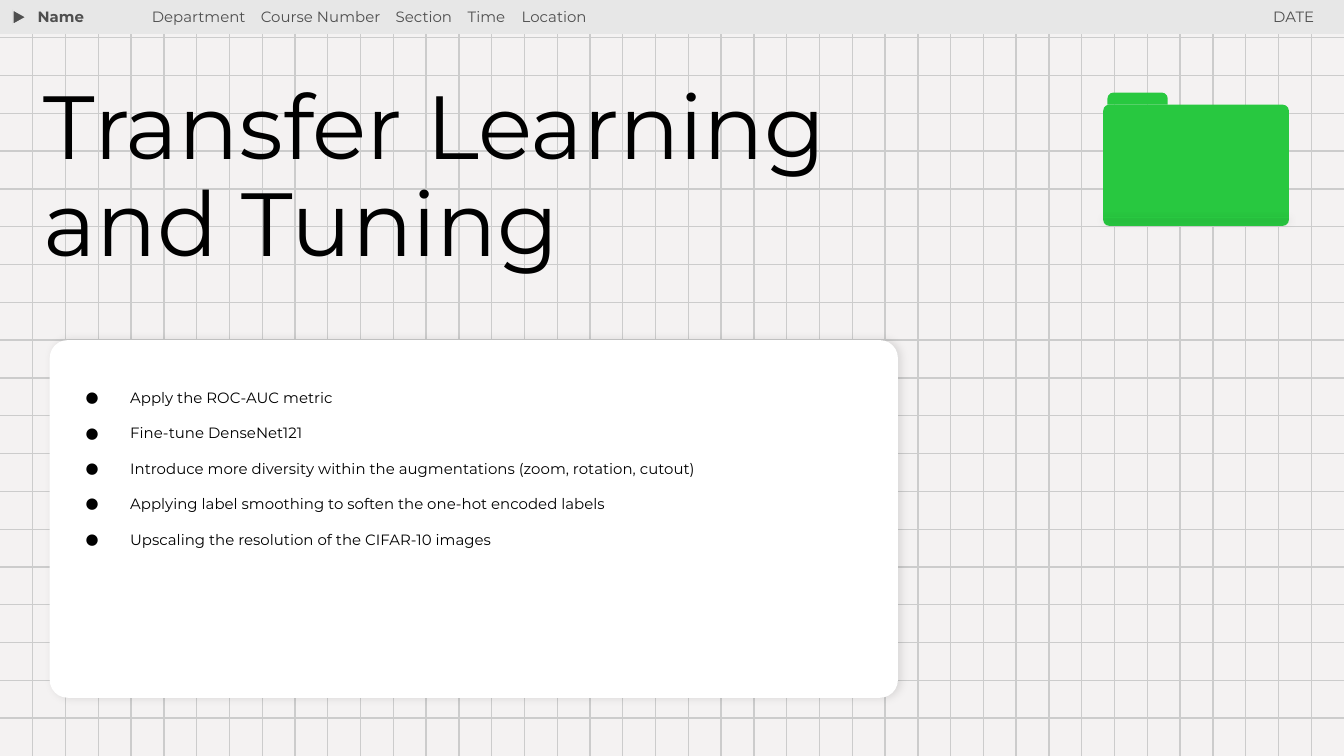
from dataclasses import dataclass

from lxml import etree
from pptx import Presentation, util as u
from pptx.dml.color import RGBColor
from pptx.enum import shapes, text
from pptx.oxml import ns

SHAPE = shapes.MSO_SHAPE
ALIGN = text.PP_ALIGN


@dataclass(frozen=True)
class Theme:
    font: str = "Montserrat"
    background: str = "F4F2F2"
    grid: str = "CCCCCC"
    bar: str = "E7E7E7"
    header: str = "4F4F4F"
    ink: str = "000000"
    card: str = "FFFFFF"
    folder: str = "28C840"
    title_size: float = 48
    small_size: float = 8
    line_width: float = 0.75


def rgb(color):
    return RGBColor.from_string(color)


def add_xml(parent, tag, **attributes):
    return etree.SubElement(parent, ns.qn(tag), attributes)


def set_shadow(properties, alpha, direction):
    """Replace the inherited effects by a soft shadow, or by none if alpha is 0."""
    effects = properties.find(ns.qn("a:effectLst"))
    if effects is None:
        effects = add_xml(properties, "a:effectLst")
    if alpha:
        shadow = add_xml(effects, "a:outerShdw", blurRad=str(u.Pt(4.5)), dist=str(u.Pt(1.5)),
                         dir=str(direction * 60000), algn="bl", rotWithShape="0")
        color = add_xml(shadow, "a:srgbClr", val="000000")
        add_xml(color, "a:alpha", val=str(alpha * 1000))


def write_text(shape, *lines, font, size, color, bold=False, align=ALIGN.LEFT,
               line_spacing=1.0, space_after=0, bullet=None, tabs=()):
    frame = shape.text_frame
    frame.word_wrap = True
    frame.auto_size = text.MSO_AUTO_SIZE.NONE
    frame.vertical_anchor = text.MSO_ANCHOR.TOP
    frame.margin_left = frame.margin_right = u.Cm(0.25)
    frame.margin_top = frame.margin_bottom = u.Cm(0.25)
    for index, line in enumerate(lines):
        paragraph = frame.add_paragraph() if index else frame.paragraphs[0]
        paragraph.alignment = align
        paragraph.line_spacing = line_spacing
        paragraph.space_before = u.Pt(0)
        paragraph.space_after = u.Pt(space_after)
        run = paragraph.add_run()
        run.text = line
        run.font.name = font
        run.font.size = u.Pt(size)
        run.font.bold = bold
        run.font.color.rgb = rgb(color)
        properties = paragraph._p.get_or_add_pPr()
        if bullet:
            properties.set("marL", str(u.Cm(1.27)))
            properties.set("indent", str(u.Cm(-0.84)))
            add_xml(add_xml(properties, "a:buClr"), "a:srgbClr", val=color)
            add_xml(properties, "a:buFont", typeface=font)
            add_xml(properties, "a:buChar", char=bullet)
        if tabs:
            stops = add_xml(properties, "a:tabLst")
            for stop in tabs:
                add_xml(stops, "a:tab", pos=str(u.Cm(stop)), algn="l")


class SlideBuilder:
    """Holds the theme and the current slide; all lengths are in centimetres."""

    def __init__(self, slide, theme):
        self.slide = slide
        self.theme = theme
        fill = slide.background.fill
        fill.solid()
        fill.fore_color.rgb = rgb(theme.background)

    def shape(self, kind, left, top, width, height, fill, line=None,
              adjustments=(), rotation=0, alpha=0, direction=0):
        shape = self.slide.shapes.add_shape(
            kind, u.Cm(left), u.Cm(top), u.Cm(width), u.Cm(height))
        for index, value in enumerate(adjustments):
            shape.adjustments[index] = value
        shape.rotation = rotation
        shape.fill.solid()
        shape.fill.fore_color.rgb = rgb(fill)
        if line:
            shape.line.color.rgb = rgb(line)
            shape.line.width = u.Pt(self.theme.line_width)
        else:
            shape.line.fill.background()
        shape.shadow.inherit = False
        set_shadow(shape._element.spPr, alpha, direction)

    def line(self, x1, y1, x2, y2, color, alpha=0, direction=0):
        line = self.slide.shapes.add_connector(
            shapes.MSO_CONNECTOR.STRAIGHT, u.Cm(x1), u.Cm(y1), u.Cm(x2), u.Cm(y2))
        line.line.color.rgb = rgb(color)
        line.line.width = u.Pt(self.theme.line_width)
        set_shadow(line._element.spPr, alpha, direction)

    def header(self, content, left, width, **formatting):
        box = self.slide.shapes.add_textbox(u.Cm(left), u.Cm(-0.1), u.Cm(width), u.Cm(1.19))
        write_text(box, content, font=self.theme.font, size=self.theme.small_size,
                   color=self.theme.header, **formatting)

    def placeholder(self, index, lines, left, top, width, height, **formatting):
        shape = self.slide.placeholders[index]
        shape.left, shape.top = u.Cm(left), u.Cm(top)
        shape.width, shape.height = u.Cm(width), u.Cm(height)
        self.slide.shapes._spTree.append(shape._element)  # bring to front
        write_text(shape, *lines, font=self.theme.font, color=self.theme.ink, **formatting)


def main():
    width, height = 25.4, 14.29
    rows, columns = 20, 41
    presentation = Presentation()
    presentation.slide_width, presentation.slide_height = u.Cm(width), u.Cm(height)
    theme = Theme()
    builder = SlideBuilder(presentation.slides.add_slide(presentation.slide_layouts[1]), theme)

    # Background grid
    for row in range(1, rows):
        y = row * height / rows
        builder.line(0, y, width, y, theme.grid)
    for column in range(1, columns):
        x = column * width / columns
        builder.line(x, 0, x, height, theme.grid)

    # Header bar
    builder.shape(SHAPE.RECTANGLE, 0, 0, width, 0.64, theme.bar)
    builder.shape(SHAPE.ISOSCELES_TRIANGLE, 0.23, 0.2, 0.28, 0.25, theme.header,
                  line=theme.bar, rotation=90)
    fields = ["Department", "Course Number", "Section", "Time", "Location"]
    builder.header("Name", 0.46, 3.25, bold=True)
    builder.header("\t".join(fields), 2.62, 10.59, tabs=(2.06, 4.61, 5.97, 6.99))
    builder.header("DATE", 20.85, 4.24, align=ALIGN.RIGHT)

    # Title
    builder.placeholder(0, ["Transfer Learning and Tuning"], 0.58, 1.3, 17.4, 4.22,
                        size=theme.title_size, line_spacing=0.9)

    # Card with the list
    card_left, card_width = 0.94, 16.03
    builder.shape(SHAPE.ROUNDED_RECTANGLE, card_left, 6.43, card_width, 6.76, theme.card,
                  adjustments=[0.05], alpha=11)
    steps = [
        "Apply the ROC-AUC metric",
        "Fine-tune DenseNet121",
        "Introduce more diversity within the augmentations (zoom, rotation, cutout)",
        "Applying label smoothing to soften the one-hot encoded labels",
        "Upscaling the resolution of the CIFAR-10 images",
    ]
    builder.placeholder(1, steps, card_left, 7.09, card_width, 5.64,
                        size=theme.small_size, space_after=9.4, bullet="●")

    # Folder icon
    folder_left, folder_width = 20.85, 3.51
    builder.shape(SHAPE.ROUND_2_SAME_RECTANGLE, folder_left + 0.08, 1.75, 1.14, 0.23,
                  theme.folder, adjustments=[0.5, 0])
    builder.shape(SHAPE.ROUNDED_RECTANGLE, folder_left, 1.98, folder_width, 2.29,
                  theme.folder, adjustments=[0.05])
    builder.line(folder_left, 4.11, folder_left + folder_width, 4.11, theme.folder,
                 alpha=30, direction=90)

    presentation.save("out.pptx")


if __name__ == "__main__":
    main()
